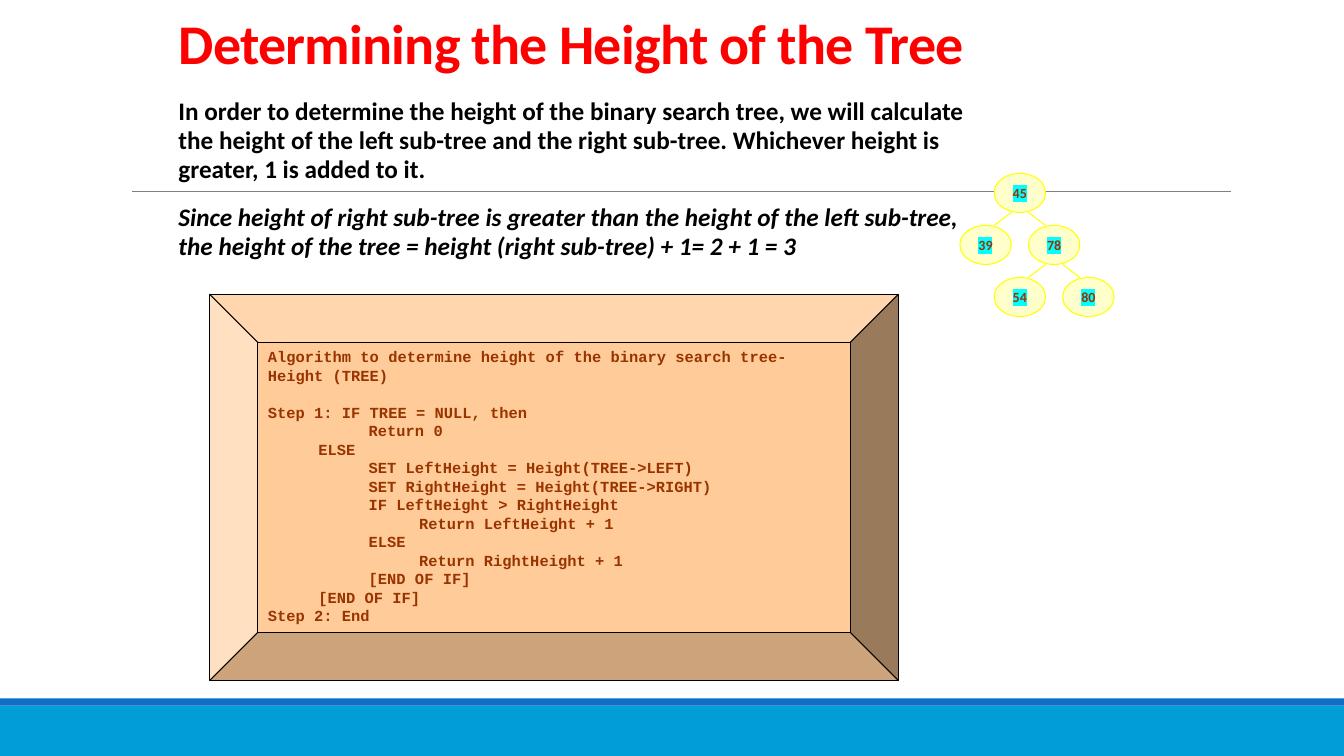
from lxml.etree import SubElement
from pptx import Presentation
from pptx.dml.color import RGBColor
from pptx.enum.shapes import MSO_CONNECTOR, MSO_SHAPE
from pptx.enum.text import MSO_ANCHOR, MSO_AUTO_SIZE, PP_ALIGN
from pptx.oxml.ns import qn
from pptx.util import Inches, Pt

WIDTH, HEIGHT = 13.33, 7.5
BLACK = RGBColor(0x00, 0x00, 0x00)
RED = RGBColor(0xFF, 0x00, 0x00)
BLUE = RGBColor(0x0F, 0x6F, 0xC6)
SKY = RGBColor(0x00, 0x9D, 0xD9)
GREY = RGBColor(0x80, 0x80, 0x80)
CREAM = RGBColor(0xFF, 0xFF, 0xCC)
YELLOW = RGBColor(0xFF, 0xFF, 0x00)
CYAN = RGBColor(0x00, 0xFF, 0xFF)
PEACH = RGBColor(0xFF, 0xCC, 0x99)
BROWN = RGBColor(0x99, 0x33, 0x00)

TITLE = "Determining the Height of the Tree"
BODY = [
    ("In order to determine the height of the binary search tree, we will calculate the height "
     "of the left sub-tree and the right sub-tree. Whichever height is greater, 1 is added to it.",
     False),
    ("Since height of right sub-tree is greater than the height of the left sub-tree, "
     "the height of the tree = height (right sub-tree) + 1= 2 + 1 = 3", True),
]
# Indent level and text of each line
ALGORITHM = [
    (0, "Algorithm to determine height of the binary search tree- Height (TREE)"),
    (0, "Step 1: IF TREE = NULL, then"),
    (2, "Return 0"),
    (1, "ELSE"),
    (2, "SET LeftHeight = Height(TREE->LEFT)"),
    (2, "SET RightHeight = Height(TREE->RIGHT)"),
    (2, "IF LeftHeight > RightHeight"),
    (3, "Return LeftHeight + 1"),
    (2, "ELSE"),
    (3, "Return RightHeight + 1"),
    (2, "[END OF IF]"),
    (1, "[END OF IF]"),
    (0, "Step 2: End"),
]
# Key: (column of the centre, row of the top, parent key)
TREE = {
    "45": (7, 0, None),
    "39": (3, 4, "45"),
    "78": (11, 4, "45"),
    "54": (7, 8, "78"),
    "80": (15, 8, "78"),
}
TREE_COLUMNS, TREE_ROWS = 18, 11
NODE_COLUMNS, NODE_ROWS = 6, 3


def place(shape, box):
    shape.left, shape.top, shape.width, shape.height = (Inches(length) for length in box)


def add_span(para, text, size, color, font="Calibri", italic=None):
    span = para.add_run()
    span.text = text
    span.font.name, span.font.size = font, Pt(size)
    span.font.bold, span.font.italic = True, italic
    span.font.color.rgb = color
    return span


def add_block(page, kind, box, fill, outline=None):
    block = page.shapes.add_shape(kind, *(Inches(length) for length in box))
    block.shadow.inherit = False
    block.fill.solid()
    block.fill.fore_color.rgb = fill
    if outline is None:
        block.line.fill.background()
    else:
        block.line.color.rgb = outline
        block.line.width = Pt(0.75)
    return block


def add_line(page, start, end, color, width):
    line = page.shapes.add_connector(
        MSO_CONNECTOR.STRAIGHT, *(Inches(length) for length in (*start, *end)))
    line.line.color.rgb = color
    line.line.width = Pt(width)
    SubElement(line._element.spPr, qn("a:effectLst"))


def draw_frame(page, box):
    left, top, width, height = box
    bottom = top + height
    add_block(page, MSO_SHAPE.RECTANGLE, (left, bottom - 0.5, width, 0.5), SKY)
    add_block(page, MSO_SHAPE.RECTANGLE, (left, bottom - 0.57, width, 0.07), BLUE)
    add_line(page, (left + 1.31, top + 1.9), (left + 12.21, top + 1.9), GREY, 0.5)


def fill_title(title, box):
    place(title, box)
    frame = title.text_frame
    frame.auto_size = MSO_AUTO_SIZE.NONE
    frame.vertical_anchor = MSO_ANCHOR.BOTTOM
    para = frame.paragraphs[0]
    para.alignment = PP_ALIGN.LEFT
    para.line_spacing = 0.85
    span = add_span(para, TITLE, 40, RED)
    span.font._element.set("spc", "-50")


def fill_body(body, box):
    place(body, box)
    frame = body.text_frame
    frame.auto_size = MSO_AUTO_SIZE.NONE
    frame.margin_left = frame.margin_right = 0
    for index, (text, italic) in enumerate(BODY):
        para = frame.paragraphs[0] if index == 0 else frame.add_paragraph()
        properties = para._p.get_or_add_pPr()
        properties.set("marL", str(Inches(0.1)))
        properties.set("indent", str(-Inches(0.1)))
        SubElement(properties, qn("a:buChar")).set("char", " ")
        para.line_spacing = 0.95
        para.space_before = Pt(12 if index else 0)
        para.space_after = Pt(2)
        add_span(para, text, 18, BLACK, italic=italic)


def draw_tree(page, box):
    left, top, width, height = box
    column, row = width / TREE_COLUMNS, height / TREE_ROWS

    def point(across, down):
        return left + across * column, top + down * row

    # Branches
    for center, level, parent in TREE.values():
        if parent:
            parent_center, parent_level, _ = TREE[parent]
            side = 1 if center > parent_center else -1
            add_line(page, point(parent_center + side, parent_level + NODE_ROWS),
                     point(center - side, level), YELLOW, 0.75)
    # Nodes
    for key, (center, level, _) in TREE.items():
        corner = point(center - NODE_COLUMNS / 2, level)
        node = add_block(page, MSO_SHAPE.OVAL,
                         (*corner, NODE_COLUMNS * column, NODE_ROWS * row), CREAM, YELLOW)
        frame = node.text_frame
        frame.margin_left = frame.margin_right = frame.margin_top = frame.margin_bottom = 0
        frame.vertical_anchor = MSO_ANCHOR.MIDDLE
        para = frame.paragraphs[0]
        para.alignment = PP_ALIGN.CENTER
        properties = add_span(para, key, 10, BROWN).font._element
        highlight = SubElement(properties, qn("a:highlight"))
        SubElement(highlight, qn("a:srgbClr")).set("val", str(CYAN))
        properties.find(qn("a:solidFill")).addnext(highlight)


def draw_algorithm(page, box):
    panel = add_block(page, MSO_SHAPE.BEVEL, box, PEACH, BLACK)
    panel.adjustments[0] = 0.125
    frame = panel.text_frame
    frame.word_wrap = True
    frame.vertical_anchor = MSO_ANCHOR.TOP
    for index, (level, text) in enumerate(ALGORITHM):
        para = frame.paragraphs[0] if index == 0 else frame.add_paragraph()
        para.alignment = PP_ALIGN.LEFT
        para.line_spacing = Pt(13.2)
        # One line of space sets the heading apart from the steps
        para.space_before = Pt(13.2 if index == 1 else 0)
        para._p.get_or_add_pPr().set("marL", str(Inches(0.5 * level)))
        add_span(para, text, 11, BROWN, "Courier New")


def main():
    deck = Presentation()
    deck.slide_width, deck.slide_height = Inches(WIDTH), Inches(HEIGHT)
    page = deck.slides.add_slide(deck.slide_layouts[1])
    draw_frame(page, (0, 0, WIDTH, HEIGHT))
    fill_title(page.shapes.title, (1.67, 0, 9.67, 0.8))
    fill_body(page.placeholders[1], (1.67, 0.92, 8, 2))
    draw_tree(page, (9.52, 1.72, 1.53, 1.42))
    draw_algorithm(page, (2.08, 2.92, 6.83, 3.83))
    deck.save("out.pptx")


if __name__ == "__main__":
    main()
